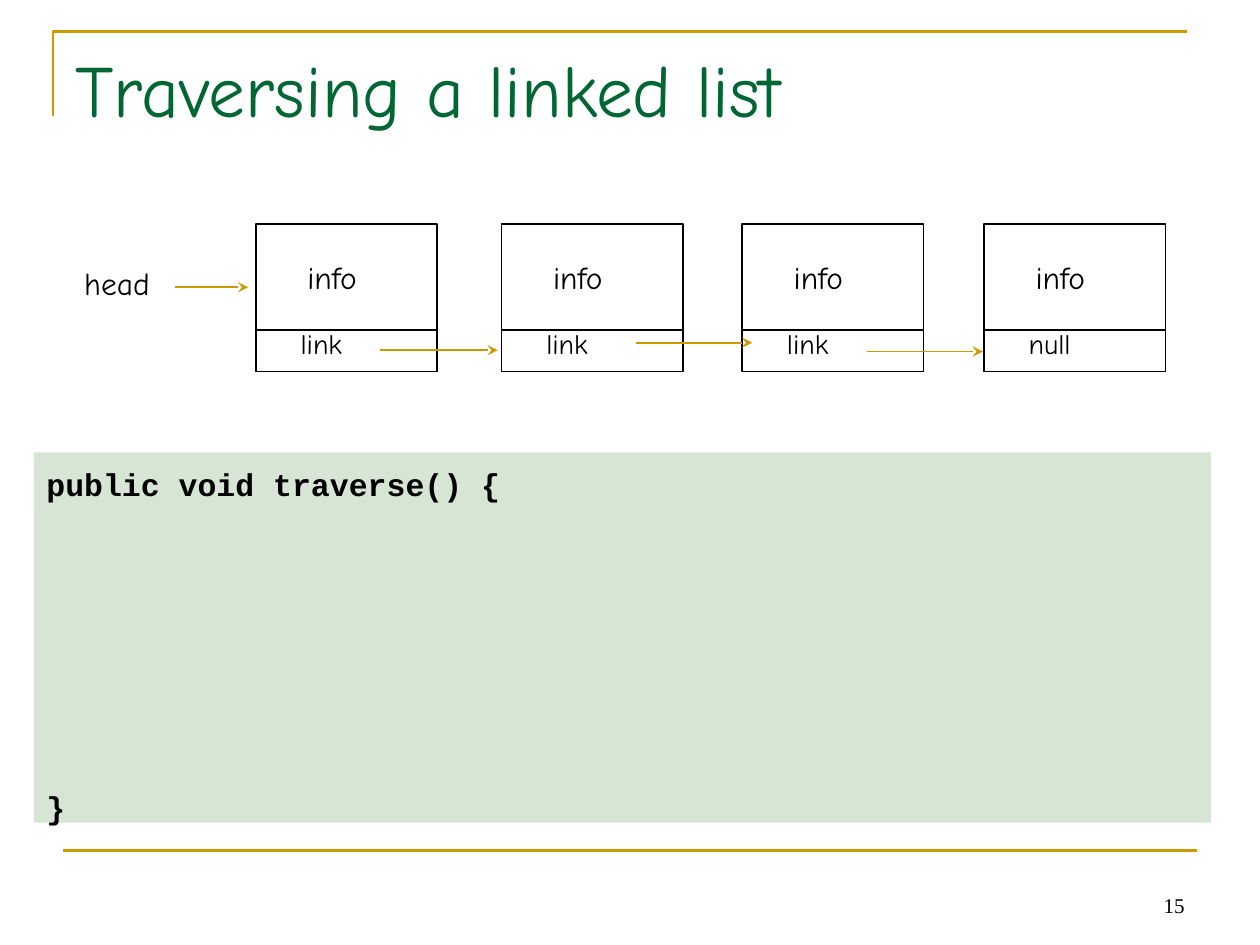
from lxml.etree import SubElement
from pptx import Presentation
from pptx.dml.color import RGBColor
from pptx.enum.shapes import MSO_CONNECTOR, MSO_SHAPE
from pptx.enum.text import MSO_ANCHOR, PP_ALIGN
from pptx.oxml.ns import qn
from pptx.util import Inches, Pt

GOLD, GREEN, BLACK, CODE_GREEN = "CC9900", "006633", "000000", "3B812F"
HAND_FONT, CODE_FONT, NUMBER_FONT = "Comic Neue", "Courier New", "Times New Roman"


def color(value):
    """Turn a hex string into a colour."""
    return RGBColor.from_string(value)


def add_line(slide, start, end, line_color, width=1, arrow=False):
    """Draw a straight line, with a stealth head at its end if wanted."""
    points = [Inches(length) for length in (*start, *end)]
    connector = slide.shapes.add_connector(MSO_CONNECTOR.STRAIGHT, *points)
    connector.line.color.rgb = color(line_color)
    connector.line.width = Pt(width)
    if arrow:
        SubElement(connector.line._get_or_add_ln(), qn("a:tailEnd"), type="stealth")
    SubElement(connector._element.spPr, qn("a:effectLst"))


def format_text(paragraph, size, font_name, text_color=BLACK, bold=False):
    """Set the font of every run in a paragraph."""
    for run in paragraph.runs:
        run.font.size = Pt(size)
        run.font.name = font_name
        run.font.bold = bold
        run.font.color.rgb = color(text_color)


def add_text(slide, box, text, size, font_name=HAND_FONT, text_color=BLACK,
             align=PP_ALIGN.LEFT, anchor=MSO_ANCHOR.TOP, wrap=True):
    """Place one paragraph of text in a box."""
    shape = slide.shapes.add_textbox(*[Inches(length) for length in box])
    frame = shape.text_frame
    frame.word_wrap = wrap
    frame.vertical_anchor = anchor
    frame.text = text
    frame.paragraphs[0].alignment = align
    format_text(frame.paragraphs[0], size, font_name, text_color)


def add_frame(slide, left, top, width, height):
    """Draw the corner rule above the title and the rule at the foot."""
    builder = slide.shapes.build_freeform(Inches(left), Inches(top + 0.67))
    builder.add_line_segments(
        [(Inches(left), Inches(top)), (Inches(left + width), Inches(top))], close=False)
    corner = builder.convert_to_shape()
    corner.shadow.inherit = False
    corner.fill.background()
    corner.line.color.rgb = color(GOLD)
    corner.line.width = Pt(1.5)
    bottom = top + height
    add_line(slide, (left + 0.08, bottom), (left + width + 0.08, bottom), GOLD, 1.5)


def add_node(slide, left, top, width, height, link_text):
    """Draw a list node with an info part above a link part."""
    shape = slide.shapes.add_shape(
        MSO_SHAPE.RECTANGLE, *[Inches(length) for length in (left, top, width, height)])
    shape.shadow.inherit = False
    shape.fill.background()
    shape.line.color.rgb = color(BLACK)
    shape.line.width = Pt(1)
    divider = top + 0.84
    add_line(slide, (left, divider), (left + width, divider), BLACK)
    add_text(slide, (left + 0.31, top + 0.22, 0.59, 0.4), "info", 18,
             align=PP_ALIGN.CENTER, wrap=False)
    add_text(slide, (left + 0.18, top + 0.76, 0.68, 0.37), link_text, 16,
             align=PP_ALIGN.CENTER)


def add_linked_list(slide, left, top):
    """Draw the head label, the nodes and the arrows between them."""
    add_text(slide, (left, top + 0.27, 0.72, 0.4), "head", 18, wrap=False)
    nodes = [(1.46, "link"), (3.41, "link"), (5.32, "link"), (7.24, "null")]
    for offset, link_text in nodes:
        add_node(slide, left + offset, top, 1.44, 1.17, link_text)
    arrows = [(0.82, 0.5, 0.58), (2.45, 1, 0.93), (4.48, 0.94, 0.92), (6.31, 1.01, 0.92)]
    for offset, drop, length in arrows:
        start = left + offset
        add_line(slide, (start, top + drop), (start + length, top + drop), GOLD, arrow=True)


def add_code(slide, left, top, width, height):
    """Place the code panel, with open room between its first and last line."""
    shape = slide.shapes.add_shape(
        MSO_SHAPE.RECTANGLE, *[Inches(length) for length in (left, top, width, height)])
    shape.shadow.inherit = False
    shape.line.fill.background()
    shape.fill.solid()
    shape.fill.fore_color.rgb = color(CODE_GREEN)
    fill_color = shape._element.spPr.find(qn("a:solidFill"))[0]
    SubElement(fill_color, qn("a:alpha"), val="20000")
    frame = shape.text_frame
    frame.word_wrap = True
    frame.vertical_anchor = MSO_ANCHOR.TOP
    frame.margin_top = Inches(0.1)
    frame.text = "public void traverse() {\n}"
    for paragraph in frame.paragraphs:
        paragraph.alignment = PP_ALIGN.LEFT
        format_text(paragraph, 18, CODE_FONT, bold=True)
    frame.paragraphs[1].space_before = Pt(163)


def main():
    """Build the slide and save it."""
    presentation = Presentation()
    presentation.slide_width = Inches(10)
    presentation.slide_height = Inches(7.5)
    slide = presentation.slides.add_slide(presentation.slide_layouts[6])
    add_frame(slide, 0.42, 0.25, 9, 6.5)
    add_text(slide, (7.17, 6.83, 2.33, 0.5), "15", 12, NUMBER_FONT,
             align=PP_ALIGN.RIGHT, anchor=MSO_ANCHOR.BOTTOM)
    add_text(slide, (0.5, 0.3, 9.23, 1.25), "Traversing a linked list", 42, text_color=GREEN)
    add_linked_list(slide, 0.57, 1.78)
    add_code(slide, 0.27, 3.59, 9.34, 2.94)
    presentation.save("out.pptx")


if __name__ == "__main__":
    main()
